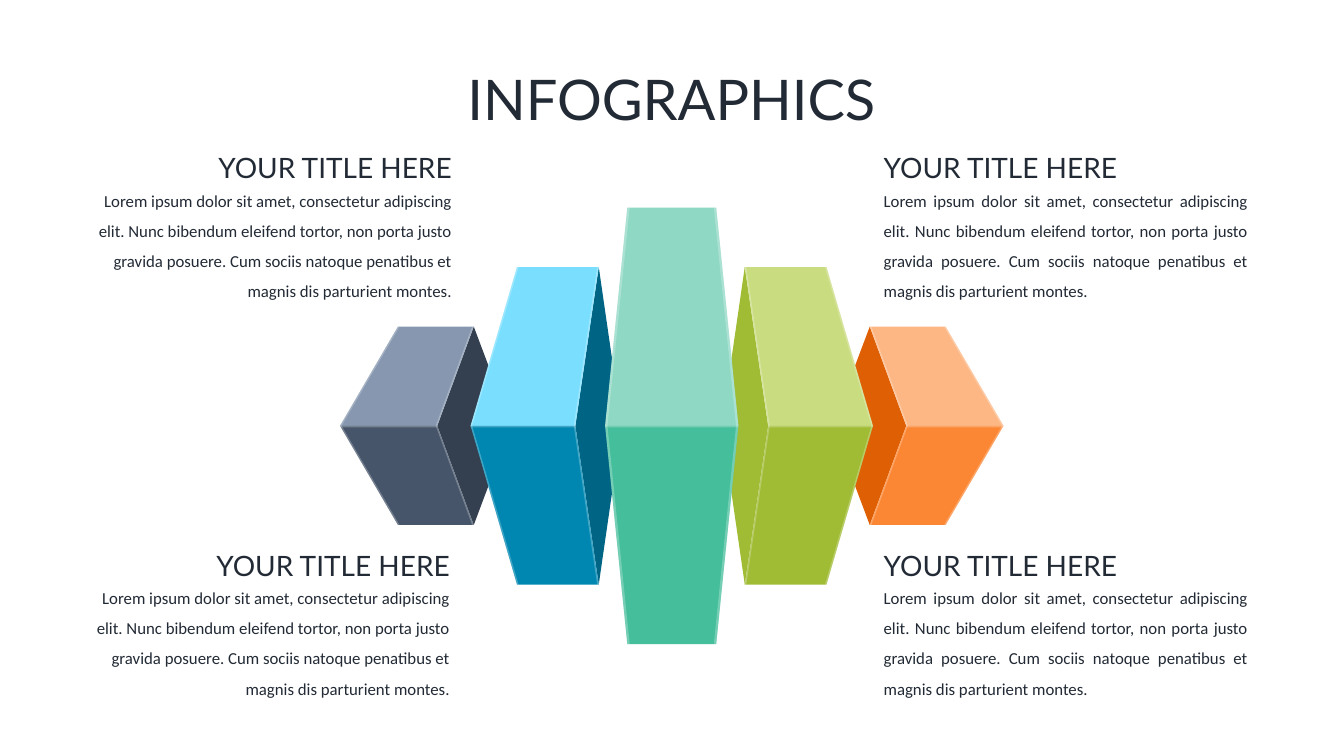
from dataclasses import dataclass

from lxml import etree
from pptx import Presentation
from pptx.dml.color import RGBColor
from pptx.enum.text import MSO_ANCHOR, MSO_AUTO_SIZE, PP_ALIGN
from pptx.oxml.ns import qn
from pptx.util import Cm, Pt

LEFT, RIGHT = PP_ALIGN.LEFT, PP_ALIGN.RIGHT
CENTER, JUSTIFY = PP_ALIGN.CENTER, PP_ALIGN.JUSTIFY
MIDDLE, TOP = MSO_ANCHOR.MIDDLE, MSO_ANCHOR.TOP
NO_FIT = MSO_AUTO_SIZE.NONE


@dataclass(frozen=True)
class Theme:
    ink: str = "222A35"
    glint: str = "FFFFFF"
    slate: tuple = ("34404F", "8697AF", "46556A")   # side, top, front
    blue: tuple = ("006585", "7ADFFF", "0087B1")
    orange: tuple = ("DF6004", "FDB785", "FB8734")
    lime: tuple = ("A0BC34", "C9DC80", "A0BC34")
    green: tuple = ("8FD8C3", "45BE9B")             # top, front
    head: str = "Lato"
    body: str = "Calibri"
    title_size: int = 40
    head_size: int = 20
    body_size: int = 12


theme = Theme()
AXIS, MID = 16.93, 10.73    # centre of the block row, in cm

prs = Presentation()
prs.slide_width, prs.slide_height = Cm(33.87), Cm(19.05)
slide = prs.slides.add_slide(prs.slide_layouts[5])
blocks = slide.shapes.add_group_shape()


def draw(points, color, side=1, alpha=None):
    """Fill a polygon given in cm from the row's centre; side -1 mirrors it."""
    spots = [(Cm(AXIS + side * x), Cm(MID + y)) for x, y in points]
    pen = blocks.shapes.build_freeform(*spots[0])
    pen.add_line_segments(spots[1:], close=True)
    shape = pen.convert_to_shape()
    shape.shadow.inherit = False
    shape.line.fill.background()
    shape.fill.solid()
    shape.fill.fore_color.rgb = RGBColor.from_string(color)
    if alpha:
        tint = shape.fill._xPr.find(".//" + qn("a:srgbClr"))
        etree.SubElement(tint, qn("a:alpha")).set("val", str(alpha * 1000))


def write(shape, text, font, size, align, anchor=TOP, gap=1):
    frame = shape.text_frame
    frame.word_wrap = True
    frame.auto_size = NO_FIT
    frame.vertical_anchor = anchor
    para = frame.paragraphs[0]
    para.alignment = align
    para.line_spacing = gap
    run = para.add_run()
    run.text = text
    run.font.name = font
    run.font.size = Pt(size)
    run.font.color.rgb = RGBColor.from_string(theme.ink)


# Block sizes: outer corner, outer edge, ridge, inner corner, back, half height
FAR = (8.36, 6.9, 4.99, 5.91, 4.05, 2.5)
NEAR = (5.07, 3.9, 1.84, 2.43, 1.26, 4)
WIDE, SLIM, TALL = 1.68, 1.12, 5.5

pairs = [
    (-1, FAR, theme.slate), (-1, NEAR, theme.blue),
    (1, FAR, theme.orange), (1, NEAR, theme.lime),
]
for side, (outer, edge, ridge, inner, back, half), colors in pairs:
    dark, light, front = colors
    draw([(inner, 0), (ridge, -half), (back, 0), (ridge, half)], dark, side)
    for y, color in ((-half, light), (half, front)):
        draw([(inner, 0), (ridge, y), (edge, y), (outer, 0)], color, side)

for y, color in zip((-TALL, TALL), theme.green):
    draw([(-WIDE, 0), (-SLIM, y), (SLIM, y), (WIDE, 0)], color)

# Glints along the folds: side, corner, edge, half height, thickness
folds = [(side, WIDE, SLIM, TALL, -0.06) for side in (-1, 1)]
bars = [(1, -WIDE, WIDE)]
for side, (outer, edge, ridge, inner, back, half), colors in pairs:
    folds.append((side, outer, edge, half, -0.04))
    folds.append((side, inner, ridge, half, 0.04))
    bars.append((side, inner, outer))

for side, start, end in bars:
    draw([(start, 0), (end, 0), (end, 0.04), (start, 0.04)],
         theme.glint, side, 25)
for side, corner, edge, half, thick in folds:
    draw([(corner, 0), (edge, -half), (edge + thick, -half),
          (corner + thick, 0), (edge + thick, half), (edge, half)],
         theme.glint, side, 25)

title = slide.shapes.title
title.left, title.top = Cm(10.34), Cm(1.5)
title.width, title.height = Cm(13.16), Cm(1.96)
write(title, "INFOGRAPHICS", theme.head, theme.title_size, CENTER, MIDDLE)

LOREM = (
    "Lorem ipsum dolor sit amet, consectetur adipiscing elit. "
    "Nunc bibendum eleifend tortor, non porta justo gravida posuere. "
    "Cum sociis natoque penatibus et magnis dis parturient montes."
)
notes = [
    (22.02, 3.68, LEFT, JUSTIFY), (22.02, 13.69, LEFT, JUSTIFY),
    (1.96, 3.68, RIGHT, RIGHT), (1.91, 13.69, RIGHT, RIGHT),
]
for x, y, head_align, body_align in notes:
    body = slide.shapes.add_textbox(Cm(x), Cm(y + 0.74), Cm(9.68), Cm(3.33))
    write(body, LOREM, theme.body, theme.body_size, body_align, gap=1.5)
    head = slide.shapes.add_textbox(Cm(x), Cm(y), Cm(9.68), Cm(1.12))
    write(head, "YOUR TITLE HERE", theme.head, theme.head_size, head_align)

prs.save("out.pptx")
